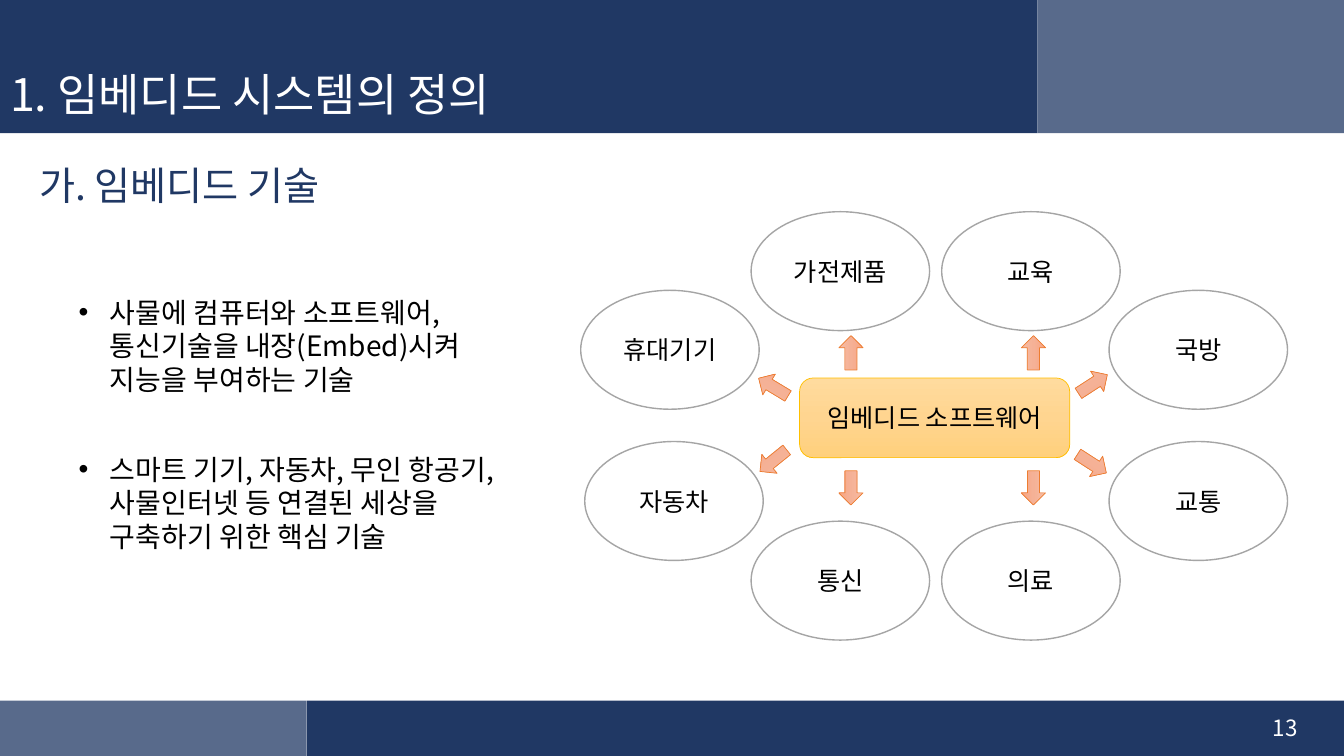
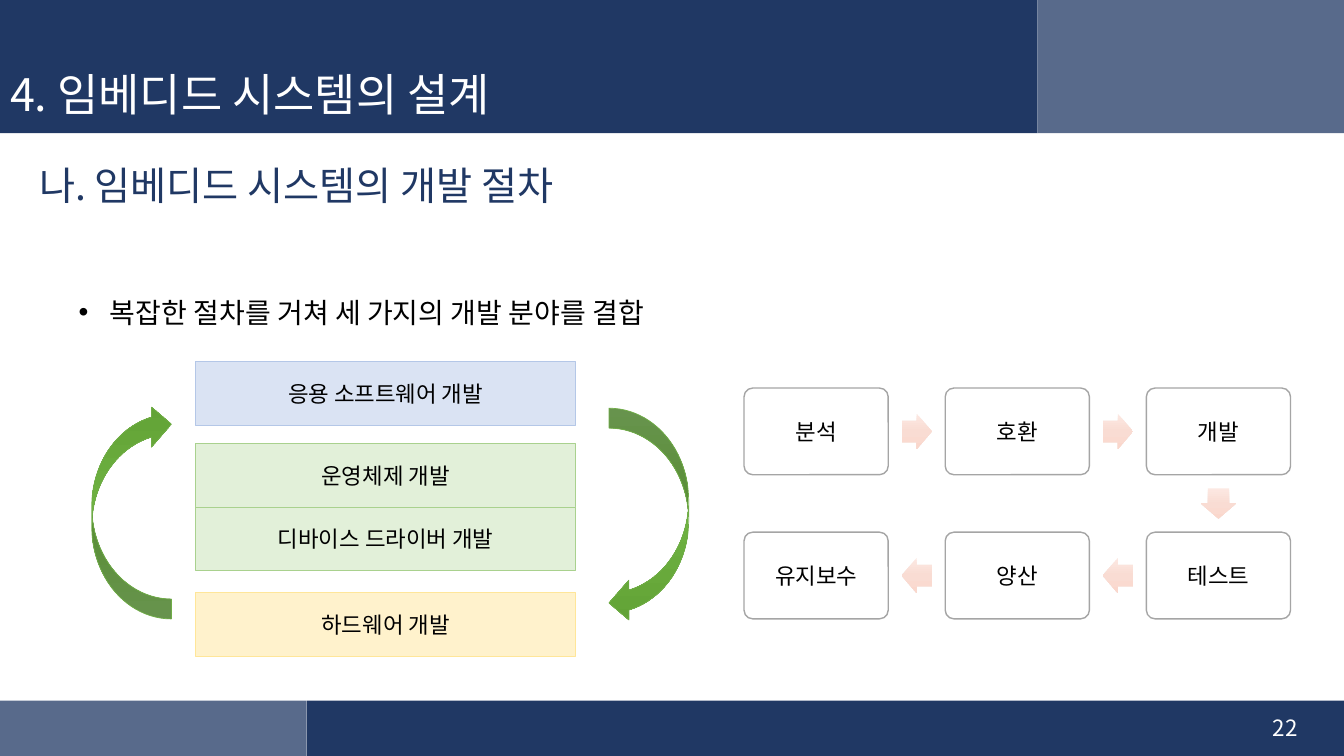
from dataclasses import dataclass
from itertools import pairwise

from lxml.etree import SubElement
from pptx import Presentation
from pptx.dml.color import RGBColor
from pptx.enum.shapes import MSO_SHAPE
from pptx.enum.text import MSO_ANCHOR, MSO_AUTO_SIZE, PP_ALIGN
from pptx.oxml.ns import qn
from pptx.util import Inches, Pt


@dataclass(frozen=True)
class Theme:
    font: str = "Noto Sans CJK KR"
    navy: str = "203864"
    slate: str = "586A8B"
    white: str = "FFFFFF"
    black: str = "000000"
    outline: str = "A5A5A5"
    hub: tuple = ("FFDB9E", "FFD590", "FFD07C")
    hub_line: str = "FFC000"
    spoke: tuple = ("F7BDA5", "F5B196", "F8A582")
    spoke_line: str = "ED7D31"
    cycle: tuple = ("81B861", "6FB242", "62A336")
    cycle_line: str = "70AD47"
    step: tuple = ("FCE8E2", "F9DCD3", "FAD7CC")
    blue: tuple = ("DAE3F3", "B4C7E7")
    green: tuple = ("E2F0D9", "A9D18E")
    yellow: tuple = ("FFF2CC", "FFE699")
    title_size: int = 32
    heading_size: int = 28
    body_size: int = 20
    node_size: int = 18
    box_size: int = 16
    line_ratio: float = 1.2


THEME = Theme()
SLIDE_SIZE = (13.33, 7.5)
BANDS = [
    ((0, 0, 10.29, 1.32), THEME.navy),
    ((10.29, 0, 3.04, 1.32), THEME.slate),
    ((0, 6.95, 3.04, 0.55), THEME.slate),
    ((3.04, 6.95, 10.29, 0.55), THEME.navy),
]


def apply(target, values):
    for attribute, value in values.items():
        setattr(target, attribute, value)


def place(shape, box):
    apply(shape, dict(zip(("left", "top", "width", "height"), map(Inches, box))))


def write(paragraph, text, size, color, **layout):
    """Fill a paragraph, one line of text per visual line."""
    apply(paragraph, {"space_before": Pt(0), **layout})
    for index, line in enumerate(text.splitlines()):
        if index:
            paragraph.add_line_break()
        run = paragraph.add_run()
        run.text = line
        apply(run.font, {"size": Pt(size), "name": THEME.font, "bold": False})
        run.font.color.rgb = RGBColor.from_string(color)
        latin = run.font._element.find(qn("a:latin"))
        east_asian = SubElement(run.font._element, qn("a:ea"), typeface=THEME.font)
        latin.addnext(east_asian)


def set_frame(frame, anchor, **values):
    apply(frame, {"word_wrap": True, "auto_size": MSO_AUTO_SIZE.NONE,
                  "vertical_anchor": anchor, **values})


def paint(shape, fill, line=None, line_width=0.5):
    """Fill with one colour, or top to bottom with several."""
    if isinstance(fill, str):
        shape.fill.solid()
        shape.fill.fore_color.rgb = RGBColor.from_string(fill)
    else:
        shape.fill.gradient()
        shape.fill.gradient_angle = 270
        stops = shape.element.spPr.find(qn("a:gradFill")).find(qn("a:gsLst"))
        for stop in list(stops):
            stops.remove(stop)
        for index, color in enumerate(fill):
            position = 100000 * index // (len(fill) - 1)
            stop = SubElement(stops, qn("a:gs"), pos=str(position))
            SubElement(stop, qn("a:srgbClr"), val=color)
    if line:
        shape.line.color.rgb = RGBColor.from_string(line)
        shape.line.width = Pt(line_width)
    else:
        shape.line.fill.background()


def add_figure(slide, kind, box, fill, line=None, line_width=0.5,
               rotation=0, adjustments=()):
    figure = slide.shapes.add_shape(kind, *map(Inches, box))
    figure.shadow.inherit = False
    figure.rotation = rotation
    for index, value in enumerate(adjustments):
        figure.adjustments[index] = value
    paint(figure, fill, line, line_width)
    return figure


def label(figure, text, size):
    set_frame(figure.text_frame, MSO_ANCHOR.MIDDLE, margin_left=0, margin_right=0)
    write(figure.text_frame.paragraphs[0], text, size, THEME.black,
          alignment=PP_ALIGN.CENTER)


def add_text(slide, box, text, size, color, anchor, **layout):
    frame = slide.shapes.add_textbox(*map(Inches, box)).text_frame
    set_frame(frame, anchor)
    write(frame.paragraphs[0], text, size, color, **layout)


def move_bands_to_layout(slide, layout):
    """Draw the bands with the slide's tools, then hand them to the layout."""
    for index, (box, color) in enumerate(BANDS):
        band = add_figure(slide, MSO_SHAPE.RECTANGLE, box, color).element
        band.nvSpPr.cNvPr.id = 100 + index
        layout.shapes.element.append(band)


def fill_bullets(body, box, items):
    place(body, box)
    frame = body.text_frame
    set_frame(frame, MSO_ANCHOR.TOP)
    for index, item in enumerate(items):
        paragraph = frame.add_paragraph() if index else frame.paragraphs[0]
        properties = paragraph._p.get_or_add_pPr()
        properties.set("marL", str(Inches(0.31)))
        properties.set("indent", str(Inches(-0.31)))
        SubElement(properties, qn("a:buFont"), typeface="Arial")
        SubElement(properties, qn("a:buChar"), char="•")
        write(paragraph, item, THEME.body_size, THEME.black,
              space_before=Pt(40 if index else 0),
              line_spacing=Pt(THEME.body_size * THEME.line_ratio))


def add_content_slide(deck, layout, title, heading, number, bullets_box, bullets):
    slide = deck.slides.add_slide(layout)
    place(slide.shapes.title, (0, 0.61, 10, 0.63))
    title_frame = slide.shapes.title.text_frame
    set_frame(title_frame, MSO_ANCHOR.MIDDLE)
    write(title_frame.paragraphs[0], title, THEME.title_size, THEME.white,
          alignment=PP_ALIGN.LEFT)
    add_text(slide, (0.29, 1.55, 8, 0.56), heading, THEME.heading_size, THEME.navy,
             MSO_ANCHOR.TOP, line_spacing=Pt(THEME.heading_size * THEME.line_ratio))
    fill_bullets(slide.placeholders[1], bullets_box, bullets)
    add_text(slide, (9.97, 7.02, 3, 0.4), number, THEME.box_size, THEME.white,
             MSO_ANCHOR.MIDDLE, alignment=PP_ALIGN.RIGHT)
    return slide


def draw_application_map(slide):
    hub = add_figure(slide, MSO_SHAPE.ROUNDED_RECTANGLE, (7.93, 3.75, 2.68, 0.79),
                     THEME.hub, THEME.hub_line, adjustments=[0.17])
    label(hub, "임베디드 소프트웨어", THEME.node_size)
    fields = [
        ("휴대기기", 5.76, 2.88), ("자동차", 5.8, 4.38),
        ("통신", 7.45, 5.17), ("의료", 9.34, 5.17),
        ("가전제품", 7.45, 2.1), ("교육", 9.34, 2.1),
        ("국방", 11, 2.88), ("교통", 11, 4.38),
    ]
    for name, left, top in fields:
        field = add_figure(slide, MSO_SHAPE.OVAL, (left, top, 1.77, 1.18),
                           THEME.white, THEME.outline, 1)
        label(field, name, THEME.node_size)
    spokes = [(left, top, rotation) for left in (8.27, 10.08)
              for top, rotation in ((3.38, 270), (4.72, 90))]
    spokes += [(7.5, 4.45, 141.1), (7.5, 3.72, 211.1),
               (10.66, 4.48, 32.8), (10.67, 3.69, 327.1)]
    for left, top, rotation in spokes:
        add_figure(slide, MSO_SHAPE.RIGHT_ARROW, (left, top, 0.34, 0.24),
                   THEME.spoke, THEME.spoke_line, rotation=rotation)


def draw_development_layers(slide):
    layers = [
        ("응용 소프트웨어 개발", 3.59, THEME.blue),
        ("운영체제 개발", 4.4, THEME.green),
        ("디바이스 드라이버 개발", 5.03, THEME.green),
        ("하드웨어 개발", 5.88, THEME.yellow),
    ]
    for name, top, colors in layers:
        layer = add_figure(slide, MSO_SHAPE.RECTANGLE, (1.94, top, 3.77, 0.63), *colors)
        label(layer, name, THEME.box_size)
    for left, top, rotation in ((0.91, 4.01, 180), (6.04, 4.05, 0)):
        add_figure(slide, MSO_SHAPE.CURVED_LEFT_ARROW, (left, top, 0.79, 2.13),
                   THEME.cycle, THEME.cycle_line, rotation=rotation,
                   adjustments=[0.25, 0.5, 0.25])


def draw_process(slide):
    """Lay the stages out in a row to the right, then one back to the left."""
    width, height = 1.43, 0.86
    first, last = 7.38, 11.37
    columns = [first, (first + last) / 2, last]
    upper, lower = 3.85, 5.28
    corners = [(left, upper) for left in columns]
    corners += [(left, lower) for left in reversed(columns)]
    names = ["분석", "호환", "개발", "테스트", "양산", "유지보수"]
    for name, (left, top) in zip(names, corners):
        stage = add_figure(slide, MSO_SHAPE.ROUNDED_RECTANGLE, (left, top, width, height),
                           THEME.white, THEME.outline, 1, adjustments=[0.1])
        label(stage, name, THEME.box_size)
    length, breadth = 0.3, 0.35
    for (left, top), (next_left, next_top) in pairwise(corners):
        if next_top > top:
            kind, size = MSO_SHAPE.DOWN_ARROW, (breadth, length)
        else:
            kind = MSO_SHAPE.RIGHT_ARROW if next_left > left else MSO_SHAPE.LEFT_ARROW
            size = (length, breadth)
        arrow_left = (left + next_left + width - size[0]) / 2
        arrow_top = (top + next_top + height - size[1]) / 2
        add_figure(slide, kind, (arrow_left, arrow_top, *size), THEME.step,
                   adjustments=[0.6, 0.5])


def main():
    deck = Presentation()
    deck.slide_width, deck.slide_height = map(Inches, SLIDE_SIZE)
    layout = deck.slide_layouts[1]

    definition = add_content_slide(
        deck, layout, "1. 임베디드 시스템의 정의", "가. 임베디드 기술", "13",
        (0.68, 2.88, 5.35, 2.65),
        ["""사물에 컴퓨터와 소프트웨어,
통신기술을 내장(Embed)시켜
지능을 부여하는 기술""",
         """스마트 기기, 자동차, 무인 항공기,
사물인터넷 등 연결된 세상을
구축하기 위한 핵심 기술"""])
    move_bands_to_layout(definition, layout)
    draw_application_map(definition)

    design = add_content_slide(
        deck, layout, "4. 임베디드 시스템의 설계", "나. 임베디드 시스템의 개발 절차", "22",
        (0.68, 2.88, 10.32, 0.44),
        ["복잡한 절차를 거쳐 세 가지의 개발 분야를 결합"])
    draw_development_layers(design)
    draw_process(design)

    deck.save("out.pptx")


if __name__ == "__main__":
    main()
